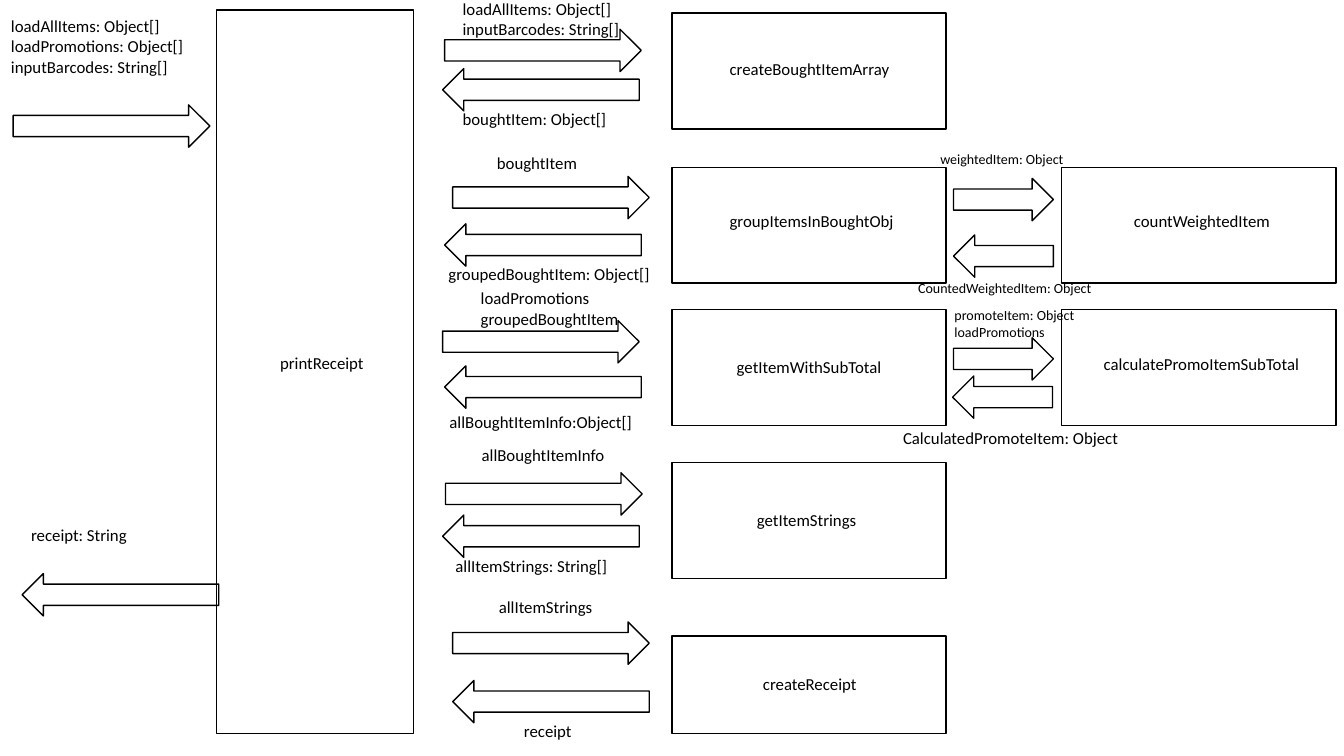
from dataclasses import dataclass

from pptx import Presentation
from pptx.dml.color import RGBColor as RGB
from pptx.enum.shapes import MSO_SHAPE as SHP
from pptx.enum.text import MSO_AUTO_SIZE as FIT
from pptx.util import Inches, Pt


@dataclass(frozen=True)
class Theme:
    ink: RGB = RGB(0, 0, 0)
    font: str = "Calibri"
    body: int = 12
    small: int = 10
    line: float = 1


T = Theme()
prs = Presentation()
prs.slide_width, prs.slide_height = Inches(13.33), Inches(7.5)
s = prs.slides.add_slide(prs.slide_layouts[6])

# Grid of 100 columns by 100 rows
COL, ROW = prs.slide_width / 100, prs.slide_height / 100
CALLER, STEP, HELPER = 16.13, 50, 79
BOX_W, BOX_H = 20.4, 15.33
LONG, SHORT, ARROW_H = 14.63, 7.43, 5.6
WIDE = 16.65


def outline(kind, x, y, w, h, turn=0):
    """Add an unfilled shape, placed in grid units."""
    sp = s.shapes.add_shape(kind, int(x * COL), int(y * ROW), int(w * COL), int(h * ROW))
    sp.shadow.inherit = False
    sp.fill.background()
    sp.line.color.rgb, sp.line.width = T.ink, Pt(T.line)
    sp.rotation = turn


def label(text, x, y, w, size=T.body, wrap=True, lines=None):
    """Add left-aligned text, one paragraph per line, with height from the line count."""
    n = lines or text.count("\n") + 1
    h = Inches(0.1) + Pt(n * size * 1.2)
    tf = s.shapes.add_textbox(int(x * COL), int(y * ROW), int(w * COL), h).text_frame
    tf.word_wrap, tf.auto_size = wrap, FIT.SHAPE_TO_FIT_TEXT
    tf.text = text
    for p in tf.paragraphs:
        p.font.name, p.font.size, p.font.color.rgb = T.font, Pt(size), T.ink


# Function boxes
outline(SHP.RECTANGLE, CALLER, 1.33, LONG, 95.73)
label("printReceipt", 20.1, 46, 8.85)

# name, box column, box row, box height, name column, name row, name width
for name, x, y, h, tx, ty, tw in [
    ("createBoughtItemArray", STEP, 1.73, BOX_H, 53.55, 7.07, 13.5),
    ("groupItemsInBoughtObj", STEP, 22.13, BOX_H, 53.55, 27.2, 13.8),
    ("getItemWithSubTotal", STEP, 40.93, BOX_H, 54.08, 46.53, 12.38),
    ("getItemStrings", STEP, 61.2, BOX_H, 55.58, 66.8, 9),
    ("createReceipt", STEP, 84.13, 12.93, 56.03, 88.4, 8.55),
    ("countWeightedItem", HELPER, 22.13, BOX_H, 83.63, 27.2, 11.7),
    ("calculatePromoItemSubTotal", HELPER, 40.93, BOX_H, 81.38, 46.13, 16.2),
]:
    outline(SHP.RECTANGLE, x, y, BOX_W, h)
    label(name, tx, ty, tw, wrap=False)

# Arrow pairs: width, call (column, row), return (column, row)
for w, call, ret in [
    (LONG, (0.98, 13.87), (1.65, 75.87)),
    (LONG, (33.08, 3.87), (32.93, 9.07)),
    (LONG, (33.68, 23.33), (33.08, 29.6)),
    (LONG, (32.93, 42.4), (33.08, 48.4)),
    (LONG, (33.15, 62.53), (32.93, 68.13)),
    (LONG, (33.68, 82.27), (33.68, 90)),
    (SHORT, (70.95, 23.6), (70.95, 31.07)),
    (SHORT, (70.95, 44.67), (70.88, 49.73)),
]:
    for (x, y), turn in ((call, 0), (ret, 180)):
        outline(SHP.RIGHT_ARROW, x, y, w, ARROW_H, turn)

# Inputs and outputs of printReceipt
label("loadAllItems: Object[]\nloadPromotions: Object[]\ninputBarcodes: String[]", 0.08, 1.47, WIDE)
label("receipt: String", 1.58, 68.8, 9.9)

# Inputs and outputs of each step
label("loadAllItems: Object[] inputBarcodes: String[]", 33.68, -0.8, WIDE, lines=2)
for text, x, y, w, wrap in [
    ("boughtItem: Object[]", 33.68, 13.73, WIDE, True),
    ("boughtItem", 36.23, 19.6, WIDE, True),
    ("groupedBoughtItem: Object[]", 32.63, 34.27, WIDE, True),
    ("loadPromotions\ngroupedBoughtItem", 35.03, 37.47, WIDE, True),
    ("allBoughtItemInfo:Object[]", 32.7, 53.87, 15.23, False),
    ("allBoughtItemInfo", 35.1, 58.13, 10.73, False),
    ("allItemStrings: String[]", 33.15, 72.8, 12.9, False),
    ("allItemStrings", 36.38, 78.27, 12.9, True),
    ("receipt", 38.25, 94.67, 9.9, True),
]:
    label(text, x, y, w, wrap=wrap)

# Inputs and outputs of each helper
for text, x, y, w, size in [
    ("weightedItem: Object", 69.23, 19.2, WIDE, T.small),
    ("CountedWeightedItem: Object", 67.58, 36.27, 19.35, T.small),
    ("promoteItem: Object\nloadPromotions", 70.28, 39.87, 20.25, T.small),
    ("CalculatedPromoteItem: Object", 66.45, 55.87, 19.2, T.body),
]:
    label(text, x, y, w, size)

prs.save("out.pptx")
